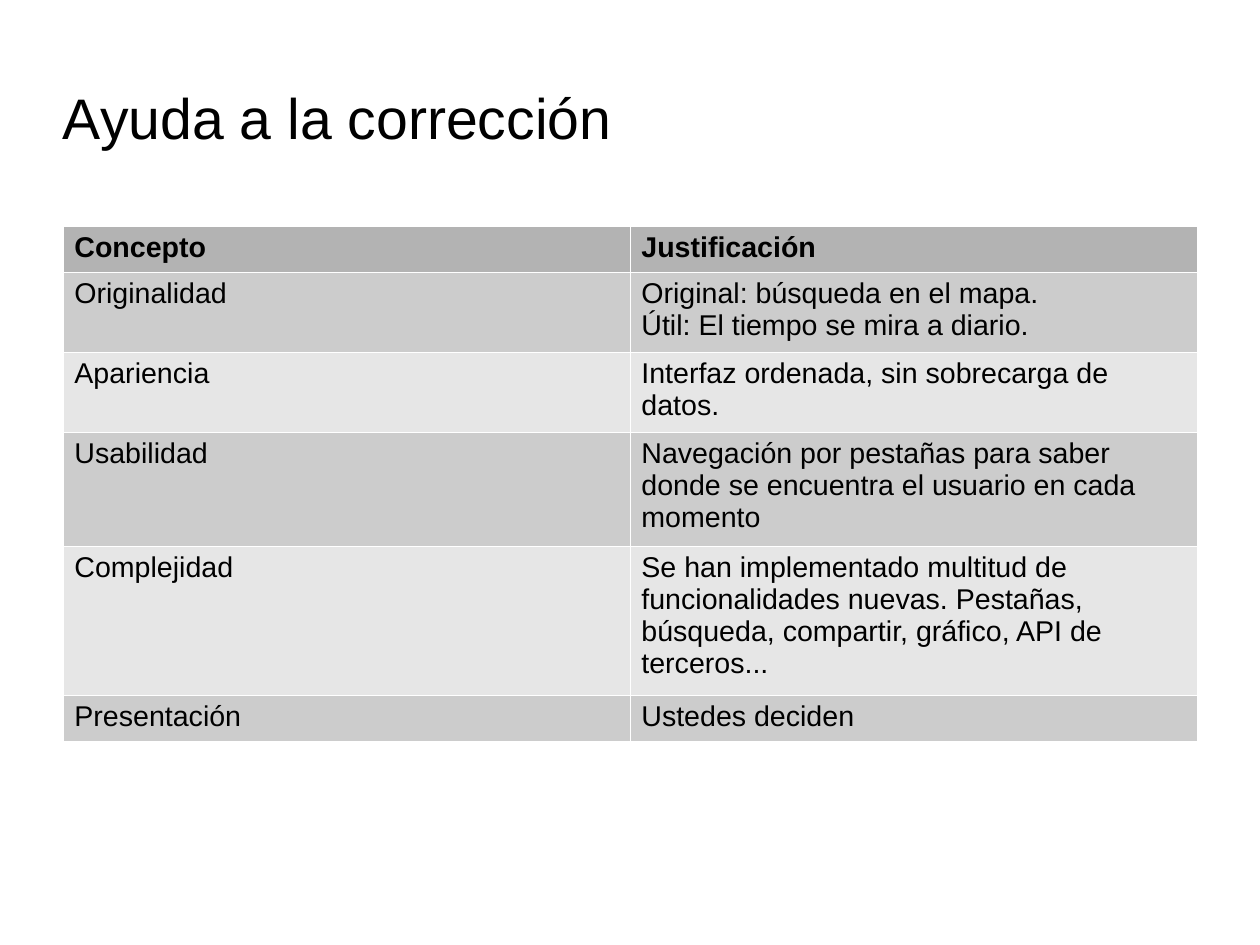
from dataclasses import dataclass

from lxml.etree import SubElement
from pptx import Presentation
from pptx.dml.color import RGBColor
from pptx.enum.text import MSO_ANCHOR as Anchor, MSO_AUTO_SIZE as AutoSize, PP_ALIGN as Align
from pptx.oxml.ns import qn
from pptx.util import Cm, Pt


@dataclass(frozen=True)
class Theme:
    font: str = "Arial"
    title_size: int = 36
    body_size: int = 18
    text: str = "000000"
    header: str = "B3B3B3"
    bands: tuple = ("CCCCCC", "E6E6E6")
    border: str = "FFFFFF"
    border_width: float = 0.06


theme = Theme()


def add_run(p, text, size, bold=False):
    r = p.add_run()
    r.text = text
    r.font.name = theme.font
    r.font.size = Pt(size)
    r.font.bold = bold
    r.font.color.rgb = RGBColor.from_string(theme.text)


def set_borders(cell):
    tc_pr = cell._tc.get_or_add_tcPr()
    for i, side in enumerate(("lnL", "lnR", "lnT", "lnB")):
        ln = SubElement(tc_pr, qn(f"a:{side}"), w=str(Pt(theme.border_width)))
        fill = SubElement(ln, qn("a:solidFill"))
        SubElement(fill, qn("a:srgbClr"), val=theme.border)
        tc_pr.insert(i, ln)


# Slide
prs = Presentation()
prs.slide_width, prs.slide_height = Cm(28), Cm(21)
s = prs.slides.add_slide(prs.slide_layouts[5])

# Title
title = s.shapes.title
title.left, title.top, title.width, title.height = Cm(1.4), Cm(1.6), Cm(20), Cm(2)
tf = title.text_frame
tf.margin_left = tf.margin_right = tf.margin_top = tf.margin_bottom = 0
tf.vertical_anchor = Anchor.MIDDLE
tf.auto_size = AutoSize.SHAPE_TO_FIT_TEXT
tf.word_wrap = True
p = tf.paragraphs[0]
p.alignment = Align.LEFT
add_run(p, "Ayuda a la corrección", theme.title_size)

# Table content: row height in cm, concept, paragraphs of the justification
rows = [
    (1.02, "Concepto", ["Justificación"]),
    (1.78, "Originalidad", ["Original: búsqueda en el mapa.",
                            "Útil: El tiempo se mira a diario."]),
    (1.78, "Apariencia", ["Interfaz ordenada, sin sobrecarga de datos."]),
    (2.53, "Usabilidad", ["Navegación por pestañas para saber donde se encuentra "
                          "el usuario en cada momento"]),
    (3.31, "Complejidad", ["Se han implementado multitud de funcionalidades nuevas. "
                           "Pestañas, búsqueda, compartir, gráfico, API de terceros..."]),
    (1.02, "Presentación", ["Ustedes deciden"]),
]

# Table
total_height = sum(height for height, _, _ in rows)
table = s.shapes.add_table(len(rows), 2, Cm(1.4), Cm(5.02), Cm(25.2), Cm(total_height)).table
for i, (height, concept, reasons) in enumerate(rows):
    table.rows[i].height = Cm(height)
    color = theme.bands[(i - 1) % 2] if i else theme.header
    for j, lines in enumerate(([concept], reasons)):
        cell = table.cell(i, j)
        cell.fill.solid()
        cell.fill.fore_color.rgb = RGBColor.from_string(color)
        set_borders(cell)
        tf = cell.text_frame
        for k, line in enumerate(lines):
            p = tf.add_paragraph() if k else tf.paragraphs[0]
            add_run(p, line, theme.body_size, bold=i == 0)

prs.save("out.pptx")
